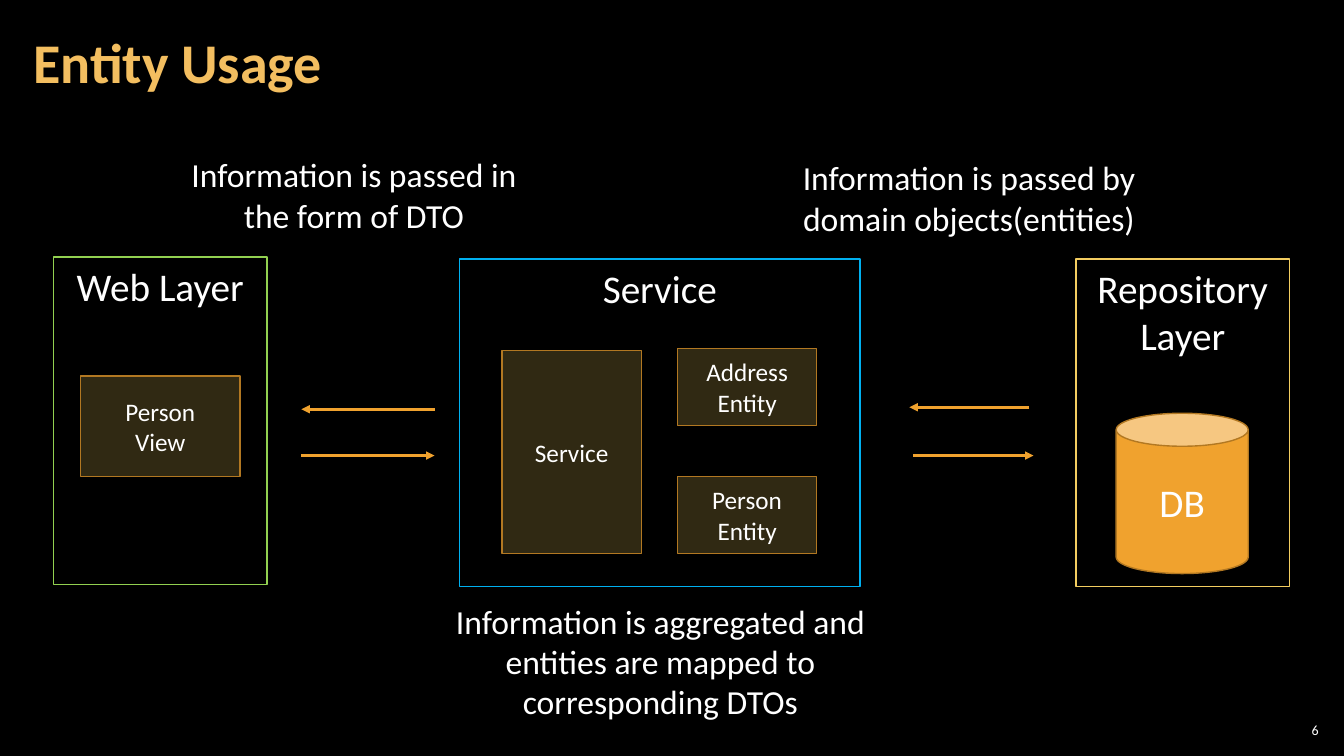
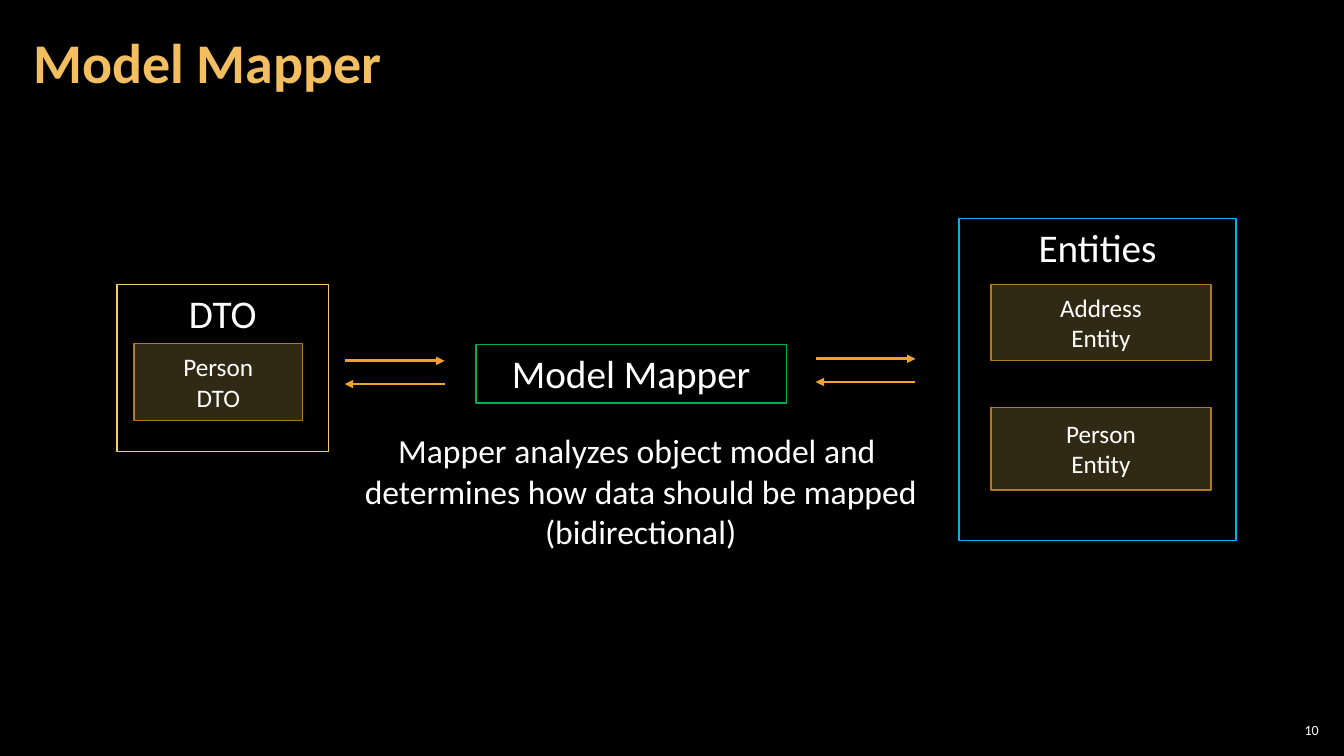
import pptx
import pptx.dml.color
import pptx.enum.shapes
import pptx.enum.text
import pptx.oxml
import pptx.oxml.ns
import pptx.util
from pptx.util import Inches

COLORS = {
    "background": "000000",
    "text": "FFFFFF",
    "title": "F3BE60",
    "orange": "F0A22E",
    "brown": "B27822",
    "yellow": "F3CD60",
    "lime": "92D050",
    "green": "00B050",
    "blue": "00B0F0",
}
FONT = "Calibri"
SHAPES = pptx.enum.shapes.MSO_SHAPE
ANCHOR = pptx.enum.text.MSO_ANCHOR
ALIGN = pptx.enum.text.PP_ALIGN


def rgb(name):
    return pptx.dml.color.RGBColor.from_string(COLORS[name])


def add_child(parent, tag, **attributes):
    child = pptx.oxml.parse_xml(f"<{tag} {pptx.oxml.ns.nsdecls('a')}/>")
    for name, value in attributes.items():
        child.set(name, value)
    parent.append(child)


def write(frame, text, size=18, color="text", bold=False, align=ALIGN.CENTER,
          anchor=ANCHOR.TOP, wrap=True, insets=(0.1, 0.05), spacing=None):
    """Fill a text frame; a newline starts a paragraph, a vertical tab breaks a line."""
    frame.word_wrap = wrap
    frame.vertical_anchor = anchor
    frame.margin_left = frame.margin_right = Inches(insets[0])
    frame.margin_top = frame.margin_bottom = Inches(insets[1])
    frame.text = text
    for para in frame.paragraphs:
        para.alignment = align
        if spacing:
            para.line_spacing = spacing
        for span in para.runs:
            span.font.name = FONT
            span.font.size = pptx.util.Pt(size)
            span.font.bold = bold
            span.font.color.rgb = rgb(color)


class DiagramDeck:
    def __init__(self):
        self.deck = pptx.Presentation()
        self.deck.slide_width = Inches(13.33)
        self.deck.slide_height = Inches(7.5)
        self.page = None

    def start_page(self, title, number):
        self.page = self.deck.slides.add_slide(self.deck.slide_layouts[6])
        fill = self.page.background.fill
        fill.solid()
        fill.fore_color.rgb = rgb("background")
        self.label(number, 12.65, 7.14, 0.47, 0.21, size=10, align=ALIGN.RIGHT,
                   anchor=ANCHOR.MIDDLE, insets=(0.04, 0.04))
        self.label(title, 0.21, 0.04, 10.47, 1.21, size=40, color="title", bold=True,
                   align=ALIGN.LEFT, anchor=ANCHOR.MIDDLE, insets=(0.12, 0.04), spacing=0.9)

    def label(self, text, left, top, width, height, **style):
        box = self.page.shapes.add_textbox(*map(Inches, (left, top, width, height)))
        write(box.text_frame, text, **style)

    def note(self, text, left, top, width, height, wrap=True):
        self.label(text, left, top, width, height, size=24, wrap=wrap)

    def shape(self, kind, text, place, line, fill=None, **style):
        shape = self.page.shapes.add_shape(kind, *map(Inches, place))
        shape.shadow.inherit = False
        shape.line.color.rgb = rgb(line)
        shape.line.width = pptx.util.Pt(1)
        if fill:
            shape.fill.solid()
            shape.fill.fore_color.rgb = rgb(fill)
        else:
            shape.fill.background()
        write(shape.text_frame, text, **style)
        return shape

    def layer(self, text, left, top, width, height, line):
        """Outlined container with its heading at the top."""
        self.shape(SHAPES.RECTANGLE, text, (left, top, width, height), line, size=28)

    def component(self, text, left, top, width, height):
        """Tinted, see-through box inside a layer."""
        box = self.shape(SHAPES.RECTANGLE, text, (left, top, width, height), "brown",
                         fill="yellow", anchor=ANCHOR.MIDDLE)
        color = box.fill._xPr.find(".//" + pptx.oxml.ns.qn("a:srgbClr"))
        add_child(color, "a:alpha", val="20000")

    def database(self, text, left, top, width, height):
        self.shape(SHAPES.CAN, text, (left, top, width, height), "brown",
                   fill="orange", size=28, anchor=ANCHOR.MIDDLE)

    def arrow(self, start, end, y):
        arrow = self.page.shapes.add_connector(
            pptx.enum.shapes.MSO_CONNECTOR.STRAIGHT,
            Inches(start), Inches(y), Inches(end), Inches(y))
        arrow.line.color.rgb = rgb("orange")
        arrow.line.width = pptx.util.Pt(2)
        add_child(arrow.line._get_or_add_ln(), "a:tailEnd", type="triangle")
        add_child(arrow._element.spPr, "a:effectLst")


def entity_usage(slides):
    slides.start_page("Entity Usage", "6")
    slides.layer("Web Layer", 0.53, 2.55, 2.12, 3.25, "lime")
    slides.layer("Service", 4.56, 2.57, 3.97, 3.25, "blue")
    slides.layer("Repository Layer", 10.67, 2.57, 2.12, 3.25, "yellow")

    slides.component("Person\vView", 0.8, 3.73, 1.58, 1)
    slides.component("Service", 4.98, 3.48, 1.38, 2.01)
    for name, top in (("Address", 3.46), ("Person", 4.73)):
        slides.component(f"{name}\vEntity", 6.72, top, 1.38, 0.76)
    slides.database("DB", 11.07, 4.1, 1.31, 1.59)

    for start, end, y in ((4.31, 2.99, 4.06), (2.99, 4.31, 4.52),
                          (10.21, 9.02, 4.04), (9.06, 10.25, 4.52)):
        slides.arrow(start, end, y)

    slides.note("Information is passed in the form of DTO", 1.75, 1.48, 3.52, 0.91)
    slides.note("Information is passed by domain objects(entities)", 7.85, 1.51, 3.52, 0.91)
    slides.note("Information is aggregated and entities are mapped to corresponding DTOs",
                4.31, 5.91, 4.48, 1.31)


def model_mapper(slides):
    slides.start_page("Model Mapper", "10")
    slides.layer("DTO", 1.16, 2.82, 2.1, 1.66, "yellow")
    slides.layer("Model Mapper", 4.72, 3.42, 3.08, 0.58, "green")
    slides.layer("Entities", 9.51, 2.17, 2.75, 3.19, "blue")

    slides.component("Person\vDTO", 1.33, 3.41, 1.67, 0.76)
    slides.component("Address\vEntity", 9.83, 2.82, 2.18, 0.76)
    slides.component("Person\vEntity", 9.83, 4.04, 2.18, 0.82)

    for left, y in ((3.42, 3.58), (8.09, 3.56)):
        right = left + 0.99
        slides.arrow(left, right, y)
        slides.arrow(right, left, y + 0.23)

    slides.note("Mapper analyzes object model and \n"
                "determines how data should be mapped\n"
                "(bidirectional)", 3.49, 4.22, 5.73, 1.31, wrap=False)


def main():
    slides = DiagramDeck()
    entity_usage(slides)
    model_mapper(slides)
    slides.deck.save("out.pptx")


if __name__ == "__main__":
    main()
